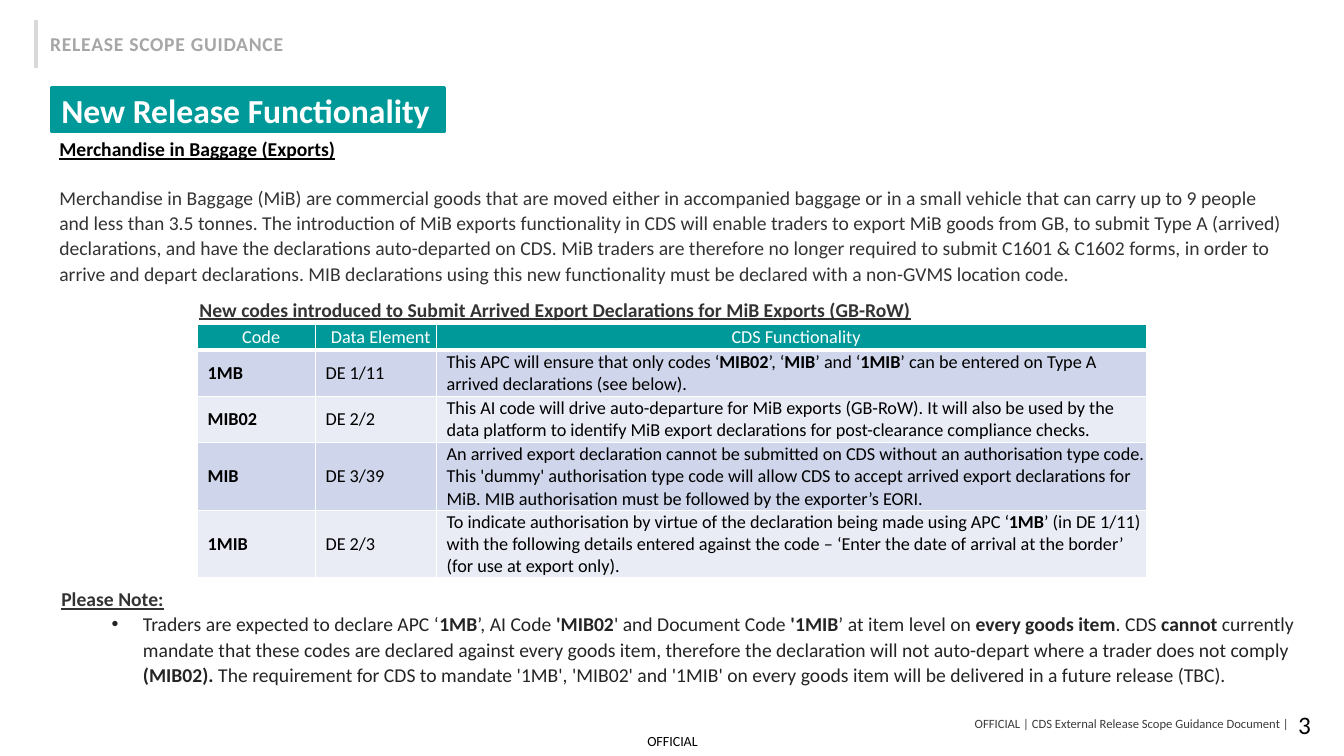
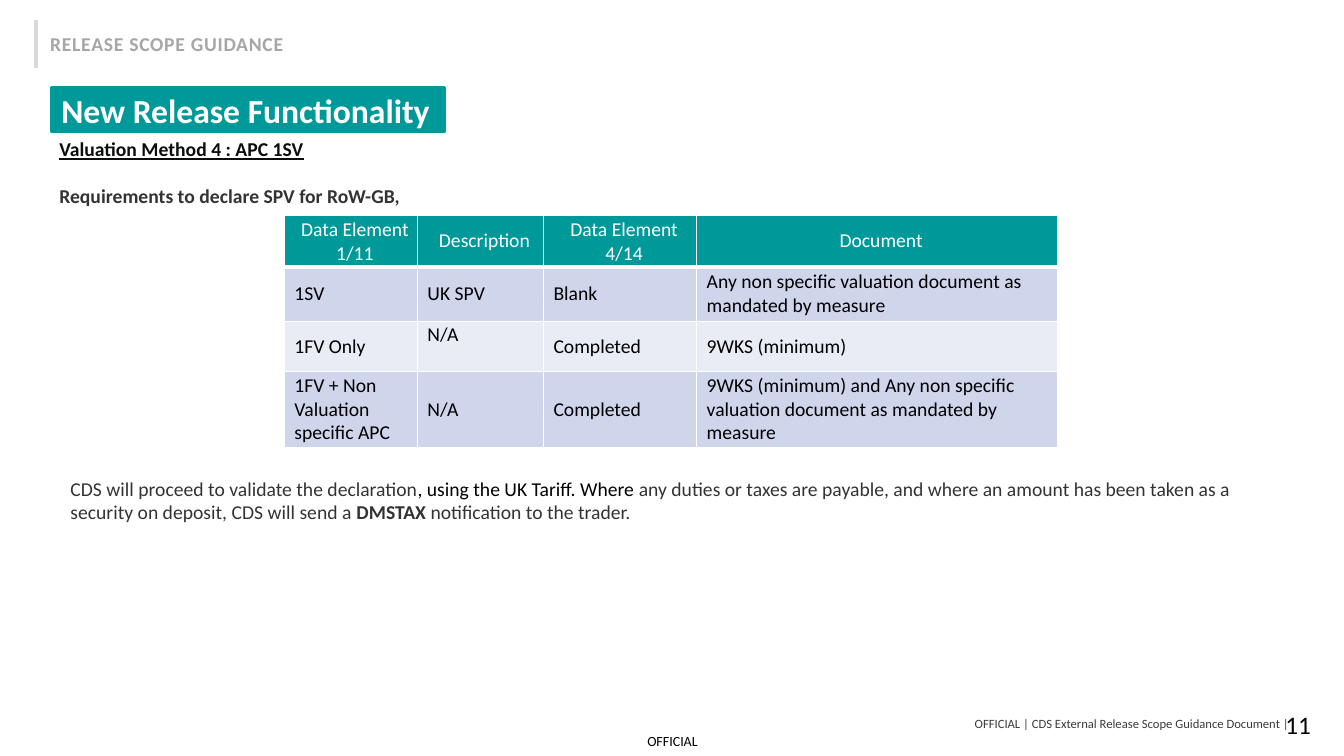
"""Build two release scope guidance slides with shared branding and code tables."""
from lxml import etree
from pptx import Presentation
from pptx import util as u
from pptx.dml.color import RGBColor
from pptx.enum import shapes, text
from pptx.oxml import ns

FONT = "Calibri"
COLORS = {
    "teal": "009999", "white": "FFFFFF", "black": "000000", "ink": "0B0C0C",
    "body": "333333", "note": "242424", "footer": "3B3A3D", "grey": "A6A6A6",
    "rule": "D9D9D9", "band_a": "CFD5EA", "band_b": "E9EBF5",
}
LEFT, CENTER, RIGHT = text.PP_ALIGN.LEFT, text.PP_ALIGN.CENTER, text.PP_ALIGN.RIGHT
TOP, MIDDLE = text.MSO_ANCHOR.TOP, text.MSO_ANCHOR.MIDDLE

MIB_INTRO = (
    "Merchandise in Baggage (MiB) are commercial goods that are moved either in accompanied "
    "baggage or in a small vehicle that can carry up to 9 people and less than 3.5 tonnes. "
    "The introduction of MiB exports functionality in CDS will enable traders to export MiB "
    "goods from GB, to submit Type A (arrived) declarations, and have the declarations "
    "auto-departed on CDS. MiB traders are therefore no longer required to submit C1601 & C1602 "
    "forms, in order to arrive and depart declarations. MIB declarations using this new "
    "functionality must be declared with a non-GVMS location code.")
MIB_NOTE = (
    "Traders are expected to declare APC ‘**1MB**’, AI Code **'MIB02**' and Document Code "
    "**'1MIB**’ at item level on **every goods item**. CDS **cannot** currently mandate that "
    "these codes are declared against every goods item, therefore the declaration will not "
    "auto-depart where a trader does not comply **(MIB02).** The requirement for CDS to mandate "
    "'1MB', 'MIB02' and '1MIB' on every goods item will be delivered in a future release (TBC).")
MIB_ROWS = [
    ["Code", "Data Element", "CDS Functionality"],
    ["**1MB**", "DE 1/11",
     "This APC will ensure that only codes ‘**MIB02**’, ‘**MIB**’ and ‘**1MIB**’ can be "
     "entered on Type A arrived declarations (see below)."],
    ["**MIB02**", "DE 2/2",
     "This AI code will drive auto-departure for MiB exports (GB-RoW). It will also be used by "
     "the data platform to identify MiB export declarations for post-clearance compliance checks."],
    ["**MIB**", "DE 3/39",
     "An arrived export declaration cannot be submitted on CDS without an authorisation type "
     "code. This 'dummy' authorisation type code will allow CDS to accept arrived export "
     "declarations for MiB. MIB authorisation must be followed by the exporter’s EORI."],
    ["**1MIB**", "DE 2/3",
     "To indicate authorisation by virtue of the declaration being made using APC ‘**1MB**’ "
     "(in DE 1/11) with the following details entered against the code – ‘Enter the date of "
     "arrival at the border’ (for use at export only)."],
]
SPV_ROWS = [
    ["Data Element 1/11", "Description", "Data Element 4/14", "Document"],
    ["1SV", "UK SPV", "Blank", "Any non specific valuation document as mandated by measure"],
    ["1FV Only", "N/A", "Completed", "9WKS (minimum)"],
    ["1FV + Non Valuation specific APC", "N/A", "Completed",
     "9WKS (minimum) and Any non specific valuation document as mandated by measure"],
]


def rgb(name):
    """Return the named palette colour."""
    return RGBColor.from_string(COLORS[name])


def add_runs(p, content, size=14, color="body", bold=False, underline=False, spacing=None):
    """Add runs to a paragraph, switching bold at each double asterisk."""
    for i, part in enumerate(content.split("**")):
        if not part:
            continue
        r = p.add_run()
        r.text = part
        f = r.font
        f.name, f.size, f.underline = FONT, u.Pt(size), underline
        f.bold = bold != (i % 2 == 1)
        f.color.rgb = rgb(color)
        if spacing:
            r._r.get_or_add_rPr().set("spc", str(int(spacing * 100)))


def add_paragraph(tf, content, align=LEFT, line=1.0, before=0, after=0,
                  indent=0, hanging=0, bullet=None, **fmt):
    """Fill the first empty paragraph of a frame, or append one."""
    p = tf.paragraphs[0] if not tf.paragraphs[0].runs else tf.add_paragraph()
    pPr = p._p.get_or_add_pPr()
    pPr.set("marL", str(u.Inches(indent)))
    pPr.set("indent", str(u.Inches(-hanging)))
    if bullet:
        etree.SubElement(pPr, ns.qn("a:buFont"), typeface="Arial")
        etree.SubElement(pPr, ns.qn("a:buChar"), char=bullet)
    p.alignment, p.line_spacing = align, line
    p.space_before, p.space_after = u.Pt(before), u.Pt(after)
    add_runs(p, content, **fmt)
    return p


def add_text(s, x, y, w, h, anchor=TOP, inset=None, wrap=True):
    """Add an empty text box and return its frame."""
    tf = s.shapes.add_textbox(*map(u.Inches, (x, y, w, h))).text_frame
    tf.word_wrap, tf.vertical_anchor = wrap, anchor
    if inset is not None:
        tf.margin_left = tf.margin_right = tf.margin_top = tf.margin_bottom = u.Inches(inset)
    return tf


def add_rule(s, x, y1, y2):
    """Add a vertical grey rule."""
    c = s.shapes.add_connector(shapes.MSO_CONNECTOR.STRAIGHT,
                               *map(u.Inches, (x, y1, x, y2)))
    c.line.color.rgb, c.line.width = rgb("rule"), u.Pt(2.25)
    etree.SubElement(c._element.spPr, ns.qn("a:effectLst"))


def add_title(s, title):
    """Add the teal title band."""
    sp = s.shapes.add_shape(shapes.MSO_SHAPE.RECTANGLE,
                            *map(u.Inches, (0.51, 0.87, 3.9, 0.44)))
    sp.shadow.inherit = False
    sp.fill.solid()
    sp.fill.fore_color.rgb = sp.line.color.rgb = rgb("teal")
    sp.line.width = u.Pt(2)
    tf = sp.text_frame
    tf.vertical_anchor = MIDDLE
    add_paragraph(tf, title, size=24, color="white", bold=True)


def set_borders(cell, header):
    """Draw white cell borders, thicker below a header."""
    tcPr = cell._tc.get_or_add_tcPr()
    for i, side in enumerate("LRTB"):
        width = 3 if header and side == "B" else 1
        ln = etree.Element(ns.qn("a:ln" + side), w=str(u.Pt(width)))
        fill = etree.SubElement(ln, ns.qn("a:solidFill"))
        etree.SubElement(fill, ns.qn("a:srgbClr"), val=COLORS["white"])
        tcPr.insert(i, ln)


def add_grid(s, x, y, widths, heights, rows, size, inset):
    """Add a table with a teal header and banded rows."""
    tbl = s.shapes.add_table(len(rows), len(widths), *map(
        u.Inches, (x, y, sum(widths), sum(heights)))).table
    for col, w in zip(tbl.columns, widths):
        col.width = u.Inches(w)
    for i, (row, h) in enumerate(zip(rows, heights)):
        tbl.rows[i].height = u.Inches(h)
        header = i == 0
        band = "teal" if header else ("band_b", "band_a")[i % 2]
        for j, content in enumerate(row):
            cell = tbl.cell(i, j)
            cell.fill.solid()
            cell.fill.fore_color.rgb = rgb(band)
            cell.vertical_anchor = MIDDLE
            cell.margin_left = u.Inches(0.1)
            cell.margin_right = cell.margin_top = cell.margin_bottom = u.Inches(inset)
            set_borders(cell, header)
            add_paragraph(cell.text_frame, content, size=size,
                          align=CENTER if header else LEFT,
                          color="white" if header else "black")
    return tbl


def add_base(prs, number):
    """Add a slide with the shared header, title band and footers."""
    s = prs.slides.add_slide(prs.slide_layouts[6])
    for x in (0.36, 0.35):
        add_rule(s, x, 0.2, 0.67)
    add_paragraph(add_text(s, 0.4, 0.27, 2.54, 0.34, wrap=False), "RELEASE SCOPE GUIDANCE",
                  color="grey", bold=True, spacing=0.5)
    add_title(s, "New Release Functionality")
    add_paragraph(add_text(s, 6.27, 7.21, 0.8, 0.29, MIDDLE, 0), "OFFICIAL",
                  align=CENTER, size=10, color="black")
    add_paragraph(add_text(s, 12.61, 6.99, 0.49, 0.4, MIDDLE), str(number),
                  align=RIGHT, size=18, color="black")
    add_paragraph(add_text(s, 3.22, 7.1, 9.56, 0.16, MIDDLE, 0),
                  "OFFICIAL | CDS External Release Scope Guidance Document |",
                  align=RIGHT, size=9, color="footer")
    return s


def add_body(s, heading, h, color):
    """Add the body frame opening with an underlined heading."""
    tf = add_text(s, 0.49, 1.31, 12.34, h)
    add_paragraph(tf, heading, color=color, bold=True, underline=True)
    return tf


def build_baggage(prs):
    """Build the Merchandise in Baggage slide."""
    s = add_base(prs, 3)
    tf = add_body(s, "Merchandise in Baggage (Exports)", 1.9, "black")
    add_paragraph(tf, MIB_INTRO, line=1.07, before=17, after=8)
    add_paragraph(tf, "New codes introduced to Submit Arrived Export Declarations for MiB "
                  "Exports (GB-RoW)", line=1.07, indent=1.39, bold=True, underline=True)
    add_grid(s, 1.96, 3.22, [1.17, 1.2, 7.04], [0.25, 0.46, 0.46, 0.67, 0.67],
             MIB_ROWS, 13, 0.01)
    tf = add_text(s, 0.51, 5.76, 12.7, 1.1)
    add_paragraph(tf, "Please Note:", line=1.07, bold=True, underline=True)
    add_paragraph(tf, MIB_NOTE, line=1.07, indent=0.81, hanging=0.31, bullet="•", color="note")


def build_valuation(prs):
    """Build the Valuation Method 4 slide."""
    s = add_base(prs, 11)
    tf = add_body(s, "Valuation Method 4 : APC 1SV", 0.82, "ink")
    add_paragraph(tf, "Requirements to declare SPV for RoW-GB,", before=17, bold=True)
    tbl = add_grid(s, 2.82, 2.14, [1.32, 1.25, 1.52, 3.58], [0.49, 0.54, 0.5, 0.75],
                   SPV_ROWS, 14, 0.02)
    tbl.cell(2, 1).vertical_anchor = TOP
    tf = add_text(s, 0.1, 4.68, 12.58, 0.58)
    p = add_paragraph(tf, "CDS will proceed to validate the declaration", indent=0.5)
    add_runs(p, ", using the UK Tariff. Where ", color="black")
    add_runs(p, "any duties or taxes are payable, and where an amount has been taken as a "
             "security on deposit, CDS will send a **DMSTAX** notification to the trader.")


def main():
    """Build and save the presentation."""
    prs = Presentation()
    prs.slide_width, prs.slide_height = u.Inches(13.33), u.Inches(7.5)
    build_baggage(prs)
    build_valuation(prs)
    prs.save("out.pptx")


if __name__ == "__main__":
    main()
